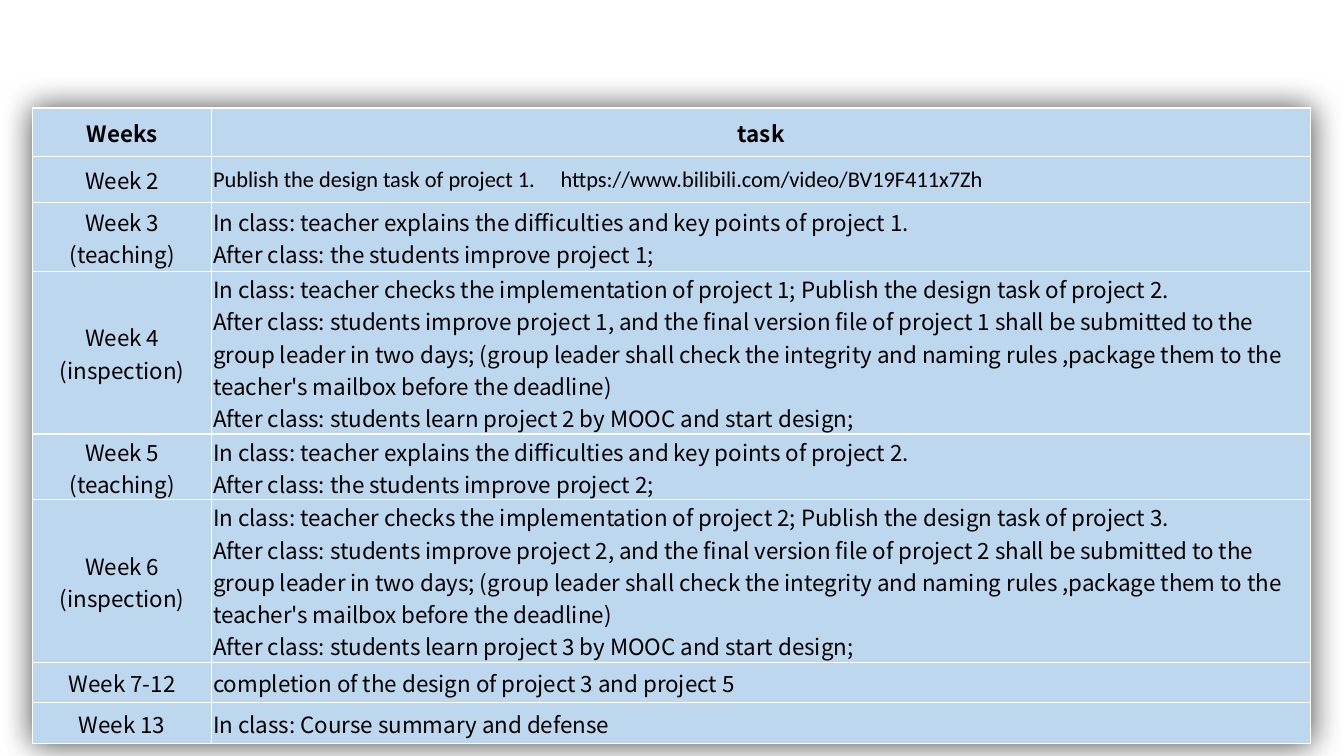
from dataclasses import dataclass

from lxml.etree import SubElement
from pptx import Presentation
from pptx.dml.color import RGBColor
from pptx.enum.text import MSO_ANCHOR, PP_ALIGN
from pptx.oxml import parse_xml
from pptx.oxml.ns import nsdecls, qn
from pptx.table import Table, _Cell
from pptx.util import Cm, Pt

PALE_BLUE = RGBColor(0xBD, 0xD7, 0xEE)
WHITE = RGBColor(0xFF, 0xFF, 0xFF)
BLACK = RGBColor(0, 0, 0)
MAIN_FONT = "Noto Sans CJK SC"
LINK_FONT = "Calibri"
COLUMN_WIDTHS = (4.52, 27.69)
LINK_TAB = 8.76


@dataclass(frozen=True)
class WeekRow:
    height: float
    week: list[str]
    task: list[str]
    task_font: str = MAIN_FONT
    header: bool = False


def teaching(week: int, project: int, height: float) -> WeekRow:
    return WeekRow(height, [f"Week {week}", "(teaching)"], [
        f"In class: teacher explains the difficulties and key points of project {project}.",
        f"After class: the students improve project {project};",
    ])


def inspection(week: int, project: int, height: float) -> WeekRow:
    return WeekRow(height, [f"Week {week}", "(inspection)"], [
        f"In class: teacher checks the implementation of project {project}; "
        f"Publish the design task of project {project + 1}.",
        f"After class: students improve project {project}, and the final version file of "
        f"project {project} shall be submitted to the group leader in two days; "
        "(group leader shall check the integrity and naming rules ,package them to the "
        "teacher's mailbox before the deadline)",
        f"After class: students learn project {project + 1} by MOOC and start design;",
    ])


SCHEDULE = [
    WeekRow(1.22, ["Weeks"], ["task"], header=True),
    WeekRow(1.17, ["Week 2"],
            ["Publish the design task of project 1.\thttps://www.bilibili.com/video/BV19F411x7Zh"],
            task_font=LINK_FONT),
    teaching(3, 1, 1.73),
    inspection(4, 1, 3.15),
    teaching(5, 2, 1.52),
    inspection(6, 2, 3.48),
    WeekRow(1.02, ["Week 7-12"], ["completion of the design of project 3 and project 5"]),
    WeekRow(1.02, ["Week 13"], ["In class: Course summary and defense"]),
]


def add_borders(cell: _Cell) -> None:
    properties = cell._tc.get_or_add_tcPr()
    for position, side in enumerate(("lnL", "lnR", "lnT", "lnB")):
        properties.insert(position, parse_xml(
            f'<a:{side} {nsdecls("a")} w="{Pt(1)}"><a:solidFill>'
            f'<a:srgbClr val="{WHITE}"/></a:solidFill></a:{side}>'))


def fill_cell(cell: _Cell, lines: list[str], font_name: str,
              align: PP_ALIGN, bold: bool) -> None:
    cell.fill.solid()
    cell.fill.fore_color.rgb = PALE_BLUE
    add_borders(cell)
    cell.vertical_anchor = MSO_ANCHOR.MIDDLE
    cell.margin_left = cell.margin_right = cell.margin_top = Cm(0.03)
    cell.margin_bottom = 0
    cell.text = "\n".join(lines)
    for paragraph in cell.text_frame.paragraphs:
        paragraph.alignment = align
        if "\t" in paragraph.text:
            tabs = SubElement(paragraph._p.get_or_add_pPr(), qn("a:tabLst"))
            SubElement(tabs, qn("a:tab"), pos=str(Cm(LINK_TAB)), algn="l")
        paragraph.font.name = font_name
        paragraph.font.size = Pt(16)
        paragraph.font.bold = bold
        paragraph.font.color.rgb = BLACK


def add_shadow(table: Table) -> None:
    table._tbl.tblPr.insert(0, parse_xml(
        f'<a:effectLst {nsdecls("a")}><a:outerShdw blurRad="{Cm(0.8)}" dist="0" '
        'algn="ctr" rotWithShape="0"><a:srgbClr val="000000"><a:alpha val="70000"/>'
        '</a:srgbClr></a:outerShdw></a:effectLst>'))


def main() -> None:
    presentation = Presentation()
    presentation.slide_width, presentation.slide_height = Cm(33.87), Cm(19.05)
    slide = presentation.slides.add_slide(presentation.slide_layouts[6])

    # Schedule table
    schedule = slide.shapes.add_table(
        len(SCHEDULE), len(COLUMN_WIDTHS), Cm(0.82), Cm(2.72),
        Cm(sum(COLUMN_WIDTHS)), Cm(sum(row.height for row in SCHEDULE))).table
    schedule.first_row = schedule.horz_banding = False
    add_shadow(schedule)
    for column, width in zip(schedule.columns, COLUMN_WIDTHS):
        column.width = Cm(width)

    # Weeks and their tasks
    for table_row, entry in zip(schedule.rows, SCHEDULE):
        table_row.height = Cm(entry.height)
        week_cell, task_cell = table_row.cells
        task_align = PP_ALIGN.CENTER if entry.header else PP_ALIGN.LEFT
        fill_cell(week_cell, entry.week, MAIN_FONT, PP_ALIGN.CENTER, entry.header)
        fill_cell(task_cell, entry.task, entry.task_font, task_align, entry.header)

    presentation.save("out.pptx")


if __name__ == "__main__":
    main()
